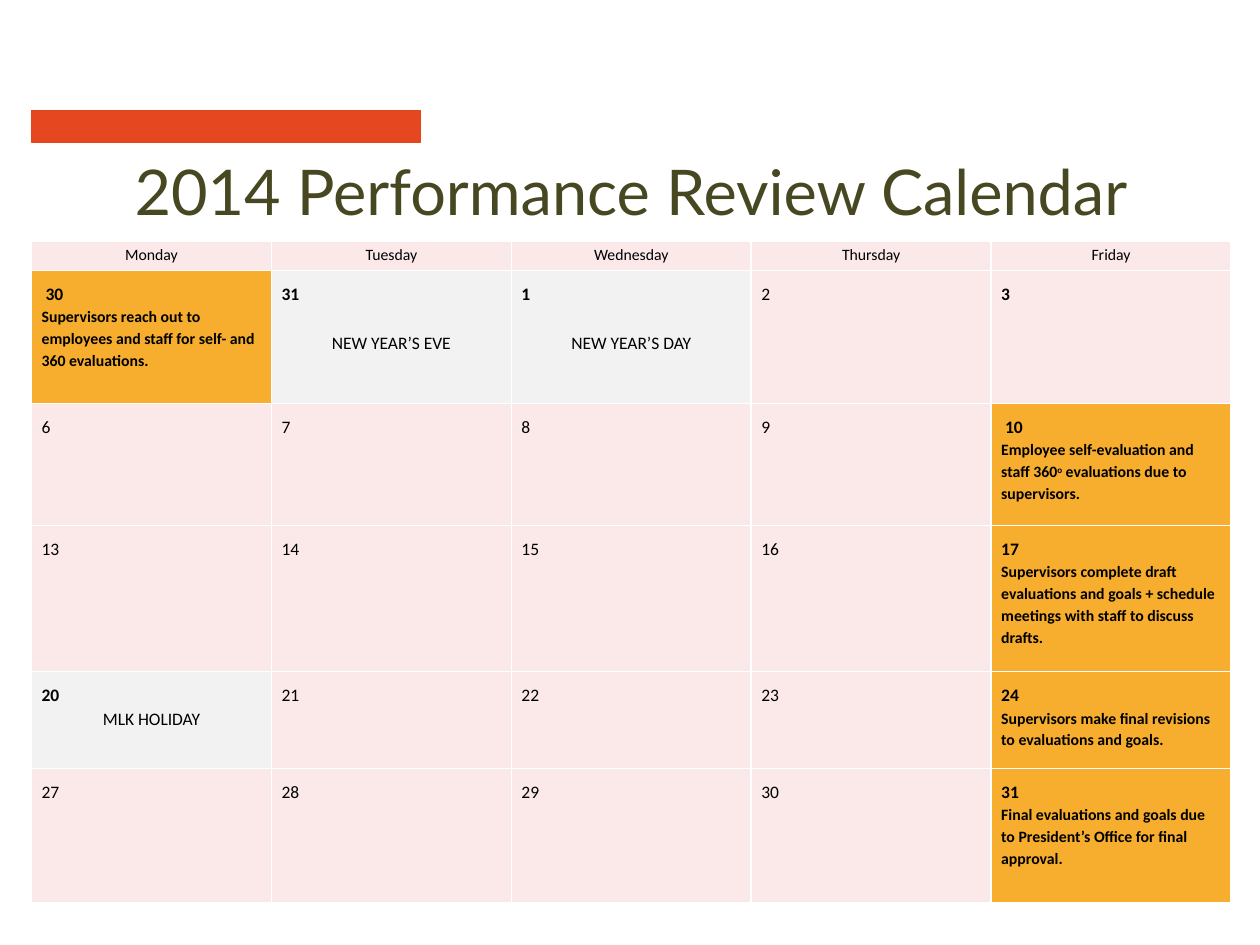
from dataclasses import dataclass

from lxml import etree
from pptx import Presentation
from pptx.dml.color import RGBColor
from pptx.enum.shapes import MSO_SHAPE
from pptx.enum.text import MSO_ANCHOR, PP_ALIGN
from pptx.oxml.ns import qn
from pptx.util import Pt

RECT = MSO_SHAPE.RECTANGLE
TOP, MIDDLE = MSO_ANCHOR.TOP, MSO_ANCHOR.MIDDLE
LEFT, CENTER = PP_ALIGN.LEFT, PP_ALIGN.CENTER


@dataclass(frozen=True)
class Theme:
    """Hold the colours, fonts and type sizes of the slide."""

    bar: str = "E54721"
    edge: str = "E5431B"
    title: str = "474822"
    ink: str = "000000"
    plain: str = "FAE9E8"
    off: str = "F2F2F2"
    due: str = "F7AE2E"
    grid: str = "FFFFFF"
    head_font: str = "Lato"
    font: str = "Calibri"
    head_size: float = 36
    day_size: float = 10
    note_size: float = 9


THEME = Theme()
DAYS = ["Monday", "Tuesday", "Wednesday", "Thursday", "Friday"]
ROWS = [16.6, 76, 69.8, 83.5, 55.4, 76.5]
COL = 137.1
OFF = {
    (0, 1): ("NEW YEAR’S EVE", 14),
    (0, 2): ("NEW YEAR’S DAY", 14),
    (3, 0): ("MLK HOLIDAY", 0),
}
DUE = {
    (0, 0): ["Supervisors reach out to employees and staff for self- and 360 evaluations."],
    (1, 4): ["Employee self-evaluation and staff 360", "o", " evaluations due to supervisors."],
    (2, 4): ["Supervisors complete draft evaluations and goals + schedule meetings "
             "with staff to discuss drafts."],
    (3, 4): ["Supervisors make final revisions to evaluations and goals."],
    (4, 4): ["Final evaluations and goals due to President’s Office for final approval."],
}
BOLD = {(0, 4), *OFF, *DUE}
INDENT = {(0, 0), (1, 4)}


def add_run(para, text, size, bold=False, font=THEME.font, color=THEME.ink):
    """Add one styled run to a paragraph and return it."""
    run = para.add_run()
    run.text = text
    run.font.size = Pt(size)
    run.font.bold = bold
    run.font.name = font
    run.font.color.rgb = RGBColor.from_string(color)
    return run


def set_para(para, align=LEFT, before=0):
    """Set the alignment and spacing of a cell paragraph."""
    para.alignment = align
    para.line_spacing = 1.15
    para.space_before = Pt(before)
    return para


def add_bar(slide):
    """Draw the accent bar above the title."""
    bar = slide.shapes.add_shape(RECT, Pt(18), Pt(63.2), Pt(222.5), Pt(18))
    bar.shadow.inherit = False
    bar.fill.solid()
    bar.fill.fore_color.rgb = RGBColor.from_string(THEME.bar)
    bar.line.color.rgb = RGBColor.from_string(THEME.edge)
    bar.line.width = Pt(0.75)


def add_title(slide):
    """Write the slide title."""
    box = slide.shapes.add_textbox(Pt(18), Pt(82), Pt(685), Pt(54))
    frame = box.text_frame
    frame.word_wrap = True
    frame.vertical_anchor = MIDDLE
    para = frame.paragraphs[0]
    para.alignment = CENTER
    add_run(para, "2014 Performance Review Calendar", THEME.head_size,
            font=THEME.head_font, color=THEME.title)


def style_cell(cell, fill, anchor, top, bottom):
    """Give a cell its borders, fill and margins."""
    props = cell._tc.get_or_add_tcPr()
    for side in ("a:lnL", "a:lnR", "a:lnT", "a:lnB"):
        line = etree.SubElement(props, qn(side), w=str(Pt(1)))
        paint = etree.SubElement(line, qn("a:solidFill"))
        etree.SubElement(paint, qn("a:srgbClr"), val=THEME.grid)
    cell.fill.solid()
    cell.fill.fore_color.rgb = RGBColor.from_string(fill)
    cell.vertical_anchor = anchor
    cell.margin_left = cell.margin_right = Pt(5.8)
    cell.margin_top, cell.margin_bottom = Pt(top), Pt(bottom)


def fill_head(cell, name):
    """Write one weekday heading."""
    style_cell(cell, THEME.plain, MIDDLE, 0, 2.9)
    add_run(set_para(cell.text_frame.paragraphs[0], CENTER), name, THEME.note_size)


def fill_day(cell, week, col):
    """Write one day with its holiday or deadline."""
    key = (week, col)
    fill = THEME.off if key in OFF else THEME.due if key in DUE else THEME.plain
    style_cell(cell, fill, TOP, 5.8, 5.8)
    day = 7 * week + col - 1
    label = str(day if day > 0 else day + 31)
    if key in INDENT:
        label = " " + label
    frame = cell.text_frame
    add_run(set_para(frame.paragraphs[0]), label, THEME.day_size, key in BOLD)
    if key in OFF:
        name, gap = OFF[key]
        add_run(set_para(frame.add_paragraph(), CENTER, gap), name, THEME.day_size)
    if key in DUE:
        para = set_para(frame.add_paragraph())
        for part in DUE[key]:
            run = add_run(para, part, THEME.note_size, True)
            if part == "o":
                run._r.get_or_add_rPr().set("baseline", "30000")


def add_month(slide):
    """Build the calendar table."""
    shape = slide.shapes.add_table(len(ROWS), len(DAYS), Pt(18), Pt(138),
                                   Pt(COL * len(DAYS)), Pt(sum(ROWS)))
    table = shape.table
    for row, height in zip(table.rows, ROWS):
        row.height = Pt(height)
    for col, name in enumerate(DAYS):
        table.columns[col].width = Pt(COL)
        fill_head(table.cell(0, col), name)
        for week in range(len(ROWS) - 1):
            fill_day(table.cell(week + 1, col), week, col)


def main():
    """Build and save the slide."""
    deck = Presentation()
    deck.slide_width, deck.slide_height = Pt(720), Pt(540)
    slide = deck.slides.add_slide(deck.slide_layouts[6])
    add_bar(slide)
    add_title(slide)
    add_month(slide)
    deck.save("out.pptx")


if __name__ == "__main__":
    main()
